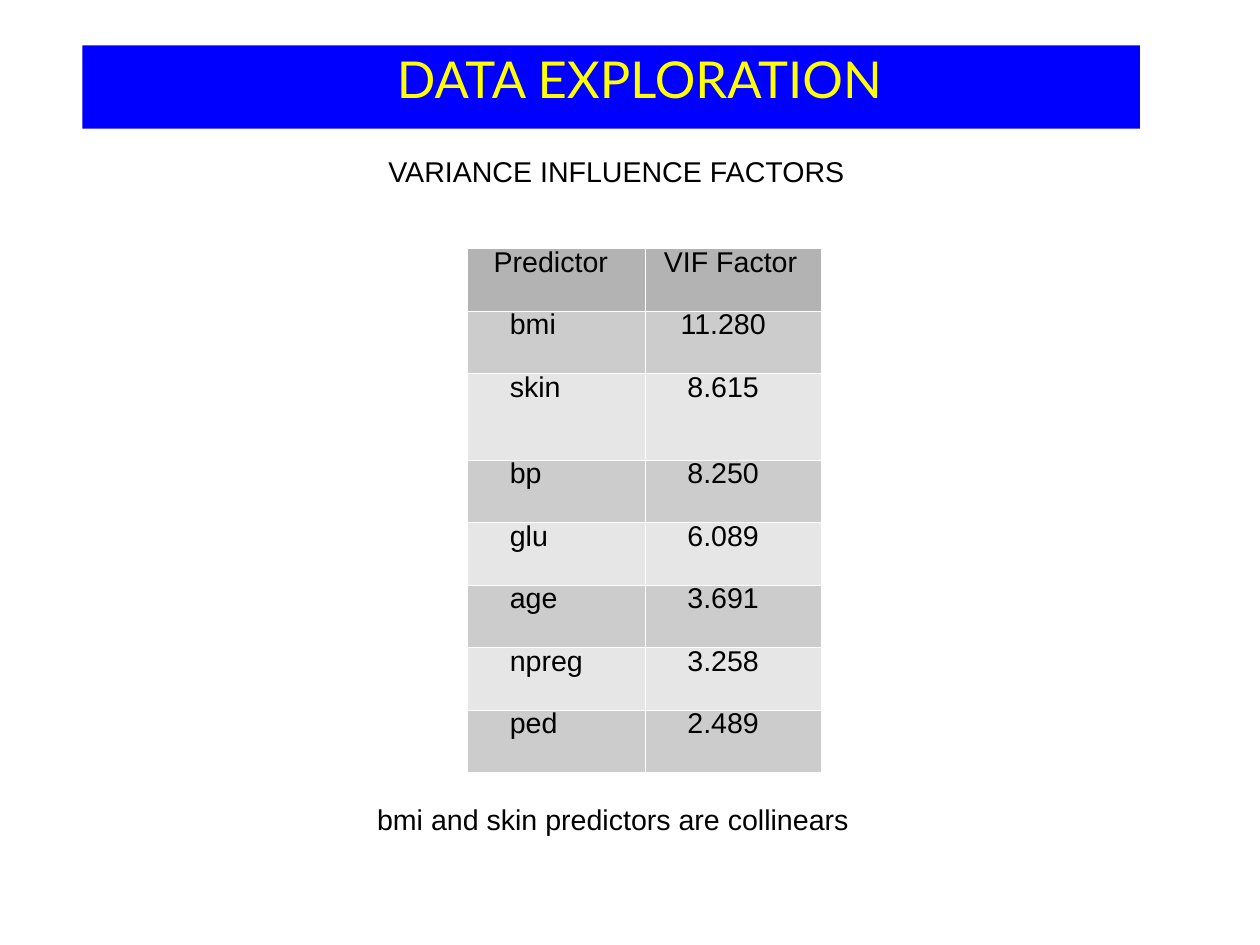
"""Build the slide with the variance influence factors of the predictors."""
from lxml import etree
from pptx import Presentation
from pptx.dml.color import RGBColor
from pptx.enum import text
from pptx.oxml import ns
from pptx.util import Cm, Pt

TITLE = "DATA EXPLORATION"
NOTES = [
    ("VARIANCE INFLUENCE FACTORS", 8.38, 3.3, 10.72),
    ("bmi and skin predictors are collinears", 8.13, 17.7, 11.68),
]
ROWS = [
    ("Predictor", "VIF Factor"),
    ("bmi", "11.280"),
    ("skin", "8.615"),
    ("bp", "8.250"),
    ("glu", "6.089"),
    ("age", "3.691"),
    ("npreg", "3.258"),
    ("ped", "2.489"),
]
COL_WIDTHS = (3.97, 3.91)
ROW_HEIGHT, SKIN_HEIGHT = 1.39, 1.92
HEAD_INSETS = ((0.6, 0.25), (0.25, 0.37))
BODY_INSETS = ((0.96, 0.25), (0.25, 0.7))
ALIGNS = (text.PP_ALIGN.LEFT, text.PP_ALIGN.CENTER)
HEAD_FILL, BAND_FILLS = "B3B3B3", ("E6E6E6", "CCCCCC")


def paint(fill, color):
    fill.solid()
    fill.fore_color.rgb = RGBColor.from_string(color)


def style(p, size=18, name="Arial", color="000000"):
    p.font.size, p.font.name = Pt(size), name
    paint(p.font.fill, color)


def add_borders(cell, color="FFFFFF", width=Pt(0.06)):
    tc_pr = cell._tc.get_or_add_tcPr()
    for side in "LRTB":
        ln = etree.SubElement(tc_pr, ns.qn(f"a:ln{side}"), w=str(width))
        fill = etree.SubElement(ln, ns.qn("a:solidFill"))
        etree.SubElement(fill, ns.qn("a:srgbClr"), val=color)


def add_title(s):
    sp = s.shapes.title
    sp.left, sp.top, sp.width, sp.height = Cm(1.83), Cm(1.01), Cm(23.5), Cm(1.85)
    paint(sp.fill, "0000FF")
    tf = sp.text_frame
    tf.text = TITLE
    tf.auto_size = text.MSO_AUTO_SIZE.NONE
    tf.vertical_anchor = text.MSO_ANCHOR.TOP
    tf.margin_left = Cm(1.52)
    p = tf.paragraphs[0]
    p.alignment, p.line_spacing = text.PP_ALIGN.CENTER, Pt(36)
    style(p, 32, "Lato", "FFFF00")


def add_note(s, words, left, top, width):
    tf = s.shapes.add_textbox(Cm(left), Cm(top), Cm(width), Cm(1)).text_frame
    tf.word_wrap = True
    tf.text = words
    style(tf.paragraphs[0])


def add_vif_table(s):
    heights = [SKIN_HEIGHT if row[0] == "skin" else ROW_HEIGHT for row in ROWS]
    table = s.shapes.add_table(
        len(ROWS), len(COL_WIDTHS), Cm(10.37), Cm(5.52),
        Cm(sum(COL_WIDTHS)), Cm(sum(heights))).table
    table.first_row = table.horz_banding = False
    for column, width in zip(table.columns, COL_WIDTHS):
        column.width = Cm(width)
    for i, (row, height) in enumerate(zip(ROWS, heights)):
        table.rows[i].height = Cm(height)
        insets = BODY_INSETS if i else HEAD_INSETS
        for j, words in enumerate(row):
            cell = table.cell(i, j)
            cell.text = words
            cell.margin_left, cell.margin_right = map(Cm, insets[j])
            add_borders(cell)
            paint(cell.fill, BAND_FILLS[i % 2] if i else HEAD_FILL)
            p = cell.text_frame.paragraphs[0]
            p.alignment, p.line_spacing = ALIGNS[j], 0.71
            style(p)


def main():
    prs = Presentation()
    prs.slide_width, prs.slide_height = Cm(28), Cm(21)
    s = prs.slides.add_slide(prs.slide_layouts[5])
    add_title(s)
    add_vif_table(s)
    for note in NOTES:
        add_note(s, *note)
    prs.save("out.pptx")


if __name__ == "__main__":
    main()
